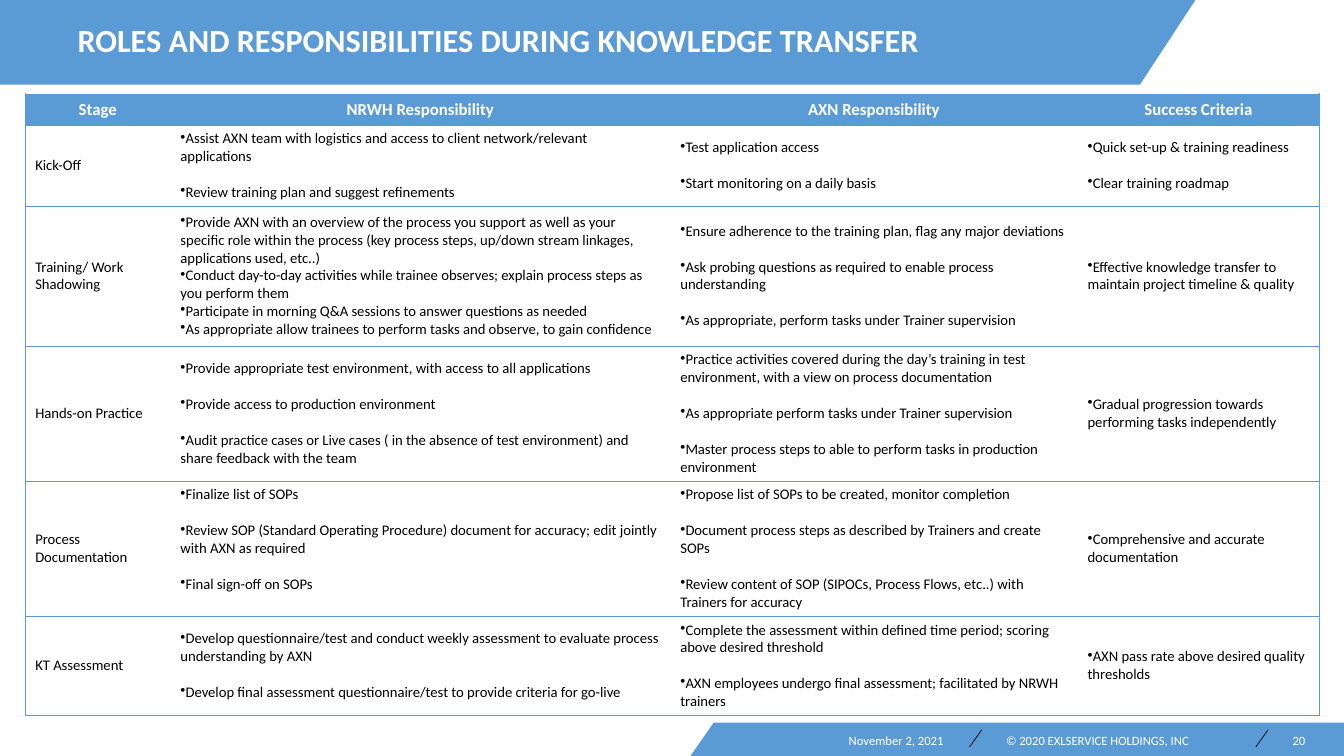
from lxml.etree import SubElement as Sub
from pptx import Presentation
from pptx.dml.color import RGBColor
from pptx.enum.shapes import MSO_CONNECTOR as Conn
from pptx.enum.text import MSO_ANCHOR as Anchor, PP_ALIGN as Align
from pptx.oxml.ns import qn
from pptx.util import Pt

BLUE = RGBColor(0x5B, 0x9B, 0xD5)
WHITE = RGBColor(0xFF, 0xFF, 0xFF)
BLACK = RGBColor(0, 0, 0)
FONT = "Calibri"

# Content
TITLE = "ROLES AND RESPONSIBILITIES DURING KNOWLEDGE TRANSFER"
HEADS = ["Stage", "NRWH Responsibility", "AXN Responsibility", "Success Criteria"]
STAGES = [
    ("Kick-Off",
     ["Assist AXN team with logistics and access to client network/relevant applications",
      "Review training plan and suggest refinements"],
     ["Test application access",
      "Start monitoring on a daily basis"],
     ["Quick set-up & training readiness",
      "Clear training roadmap"]),
    ("Training/ Work Shadowing",
     ["Provide AXN with an overview of the process you support as well as your specific "
      "role within the process (key process steps, up/down stream linkages, "
      "applications used, etc..)",
      "Conduct day-to-day activities while trainee observes; explain process steps as "
      "you perform them",
      "Participate in morning Q&A sessions to answer questions as needed",
      "As appropriate allow trainees to perform tasks and observe, to gain confidence"],
     ["Ensure adherence to the training plan, flag any major deviations",
      "Ask probing questions as required to enable process understanding",
      "As appropriate, perform tasks under Trainer supervision"],
     ["Effective knowledge transfer to maintain project timeline & quality"]),
    ("Hands-on Practice",
     ["Provide appropriate test environment, with access to all applications",
      "Provide access to production environment",
      "Audit practice cases or Live cases ( in the absence of test environment) and "
      "share feedback with the team"],
     ["Practice activities covered during the day’s training in test environment, "
      "with a view on process documentation",
      "As appropriate perform tasks under Trainer supervision",
      "Master process steps to able to perform tasks in production environment"],
     ["Gradual progression towards performing tasks independently"]),
    ("Process Documentation",
     ["Finalize list of SOPs",
      "Review SOP (Standard Operating Procedure) document for accuracy; edit jointly "
      "with AXN as required",
      "Final sign-off on SOPs"],
     ["Propose list of SOPs to be created, monitor completion",
      "Document process steps as described by Trainers and create SOPs",
      "Review content of SOP (SIPOCs, Process Flows, etc..) with Trainers for accuracy"],
     ["Comprehensive and accurate documentation"]),
    ("KT Assessment",
     ["Develop questionnaire/test and conduct weekly assessment to evaluate process "
      "understanding by AXN",
      "Develop final assessment questionnaire/test to provide criteria for go-live"],
     ["Complete the assessment within defined time period; scoring above desired threshold",
      "AXN employees undergo final assessment; facilitated by NRWH trainers"],
     ["AXN pass rate above desired quality thresholds"]),
]
# Footer: text, left, width, alignment
FOOTER = [
    ("November 2, 2021", 510.5, 163.4, Align.RIGHT),
    ("© 2020 EXLSERVICE HOLDINGS, INC", 718.6, 163.4, Align.LEFT),
    ("20", 905.8, 26.6, Align.RIGHT),
]

# Measures in points
WIDE, HIGH = 960, 540
BANDS = [
    [(0, 0), (853.9, 0), (814.3, 60.5), (0, 60.5)],
    [(509.8, 516.2), (WIDE, 516.2), (WIDE, HIGH), (493.2, HIGH)],
]
SLASHES = [701.3, 905.8]
LEFT, TOP = 18, 67
COLS = [103.7, 357.1, 290.9, 172.8]
ROWS = [22.3, 53.5, 100, 96.5, 96.5, 70.9]
GAP = 12.8
TOP_SET = (4, 1)  # the one cell set from its top edge


def write(para, text, size, color, bold=False):
    run = para.add_run()
    run.text = text
    font = run.font
    font.name, font.size, font.bold = FONT, Pt(size), bold
    font.color.rgb = color


def edge(cell, sides):
    props = cell._tc.get_or_add_tcPr()
    for side in "LRTB":
        line = Sub(props, qn("a:ln" + side), w=str(Pt(0.5)))
        if side in sides:
            fill = Sub(line, qn("a:solidFill"))
            Sub(fill, qn("a:srgbClr"), val=str(BLUE))
        else:
            Sub(line, qn("a:noFill"))


def bullet(para):
    props = para._p.get_or_add_pPr()
    props.set("marL", "0")
    props.set("indent", "0")
    Sub(props, qn("a:buChar"), char="•")


deck = Presentation()
deck.slide_width, deck.slide_height = Pt(WIDE), Pt(HIGH)
slide = deck.slides.add_slide(deck.slide_layouts[5])
shapes = slide.shapes
title = shapes.title

# Slanted bands
for pts in BANDS:
    (x, y), *rest = pts
    path = shapes.build_freeform(Pt(x), Pt(y))
    path.add_line_segments([(Pt(a), Pt(b)) for a, b in rest], close=True)
    band = path.convert_to_shape()
    band.shadow.inherit = False
    band.fill.solid()
    band.fill.fore_color.rgb = BLUE
    band.line.fill.background()
    shapes._spTree.remove(title._element)
    shapes._spTree.append(title._element)

# Title, in front of its band
title.left, title.top, title.width, title.height = Pt(48.2), Pt(7.2), Pt(758.2), Pt(46.1)
frame = title.text_frame
frame.word_wrap = True
frame.vertical_anchor = Anchor.MIDDLE
para = frame.paragraphs[0]
para.alignment = Align.LEFT
para.line_spacing = 0.9
write(para, TITLE, 23, WHITE, True)

# Footer
for x in SLASHES:
    slash = shapes.add_connector(Conn.STRAIGHT, Pt(x), Pt(521.3), Pt(x - 8.7), Pt(533.5))
    slash.line.color.rgb = BLACK
    slash.line.width = Pt(0.5)
    Sub(slash._element.spPr, qn("a:effectLst"))
for text, x, wide, align in FOOTER:
    frame = shapes.add_textbox(Pt(x), Pt(523.4), Pt(wide), Pt(10.8)).text_frame
    frame.word_wrap = True
    frame.margin_left = frame.margin_right = frame.margin_top = frame.margin_bottom = 0
    para = frame.paragraphs[0]
    para.alignment = align
    write(para, text, 9, WHITE)

# Table
table = shapes.add_table(len(ROWS), len(COLS), Pt(LEFT), Pt(TOP),
                         Pt(sum(COLS)), Pt(sum(ROWS))).table
table.horz_banding = False
for col, wide in zip(table.columns, COLS):
    col.width = Pt(wide)
for row, high in zip(table.rows, ROWS):
    row.height = Pt(high)

for r, row in enumerate([HEADS] + STAGES):
    for c, item in enumerate(row):
        cell = table.cell(r, c)
        edge(cell, "TB" + ("L" if c == 0 else "R" if c == len(COLS) - 1 else ""))
        cell.vertical_anchor = Anchor.TOP if (r, c) == TOP_SET else Anchor.MIDDLE
        frame = cell.text_frame
        para = frame.paragraphs[0]
        if r == 0:
            cell.fill.solid()
            cell.fill.fore_color.rgb = BLUE
            para.alignment = Align.CENTER
            write(para, item, 12, WHITE, True)
            continue
        cell.fill.background()
        if c == 0:
            write(para, item, 10.5, BLACK)
            continue
        for i, text in enumerate(item):
            if i:
                para = frame.add_paragraph()
            bullet(para)
            if i and len(item) < 4:  # longer lists are set tight
                para.space_before = Pt(GAP)
            write(para, text, 10.5, BLACK)

deck.save("out.pptx")
